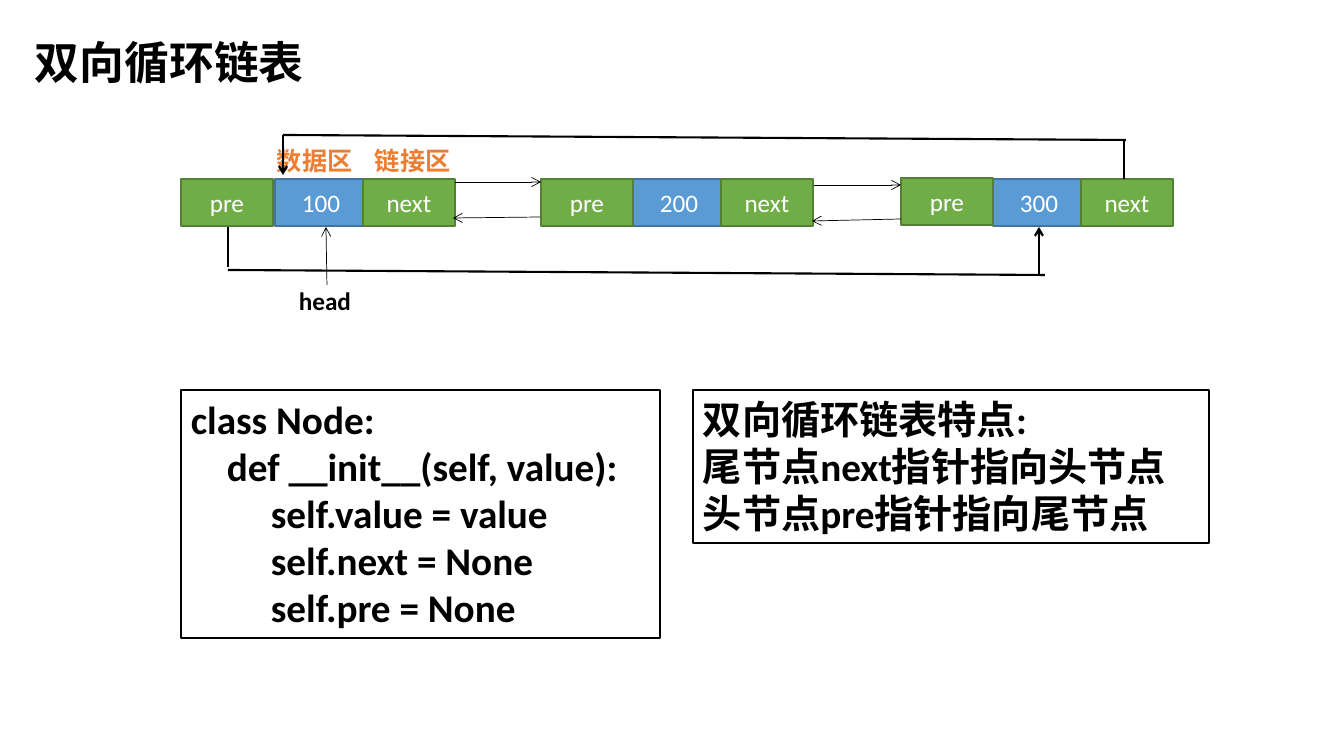
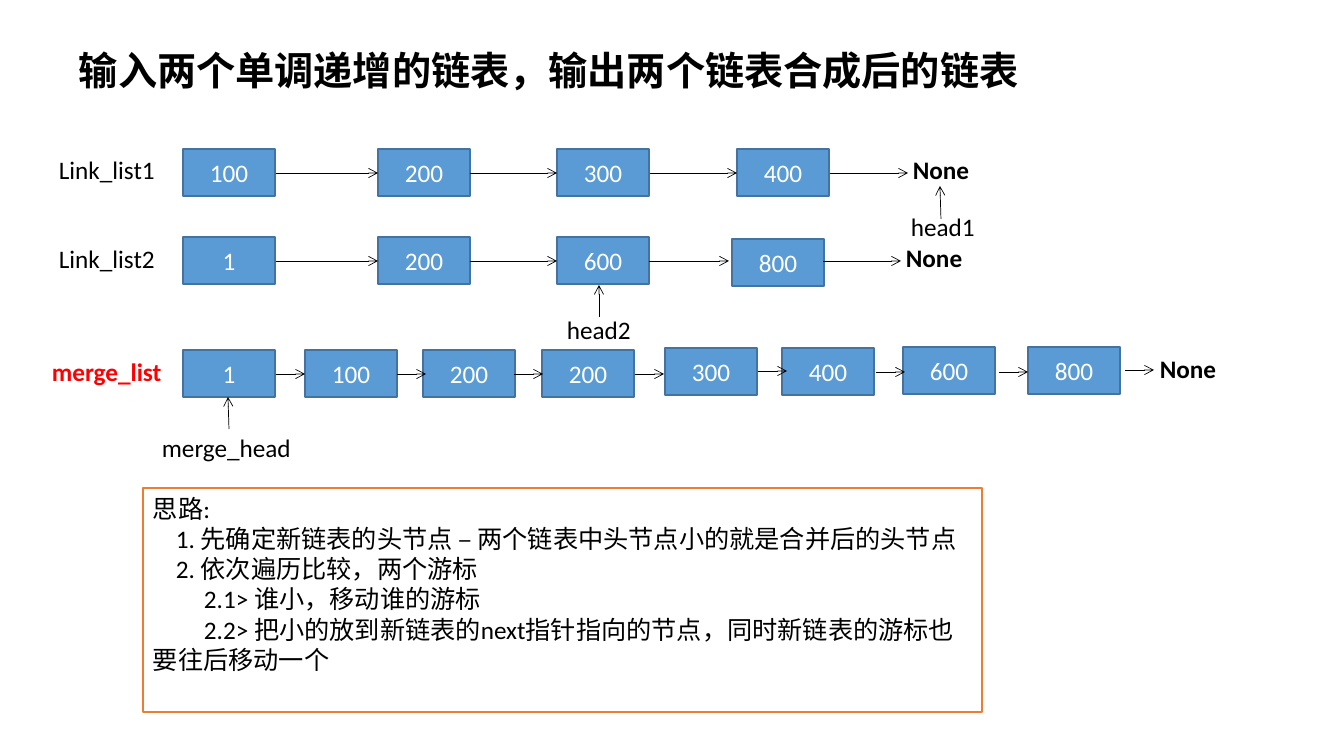
from pptx import Presentation, util as u
from pptx.dml.color import RGBColor
from pptx.enum import shapes, text
from pptx.oxml.ns import qn
from lxml import etree

PX = 914400 / 100.8
COLORS = {
    "ink": "000000", "paper": "FFFFFF", "blue": "5B9BD5", "blue_edge": "43739E",
    "green": "70AD47", "green_edge": "538035", "orange": "ED7D31", "red": "FF0000",
}
COLORS = {name: RGBColor.from_string(value) for name, value in COLORS.items()}
NODE_W, NODE_H, LABEL_H = 92, 47, 40
PLAIN = {"name": "Calibri", "size": u.Pt(18), "bold": False}
BOLD = {**PLAIN, "bold": True}
TITLE = {**BOLD, "size": u.Pt(32)}
LARGE = {**BOLD, "size": u.Pt(28)}


def write(slide, at, lines, style=PLAIN, color="ink", fill=None, edge=None, node=False):
    """Put (indent, words) lines in a node, a framed box or a bare label."""
    area = [round(v * PX) for v in at]
    if node:
        box = slide.shapes.add_shape(shapes.MSO_SHAPE.RECTANGLE, *area)
        box.shadow.inherit = False
    else:
        box = slide.shapes.add_textbox(*area)
    if fill:
        box.fill.solid()
        box.fill.fore_color.rgb = COLORS[fill]
        box.line.color.rgb = COLORS[edge]
        box.line.width = u.Pt(1)
    frame = box.text_frame
    layout = {
        "word_wrap": bool(fill),
        "auto_size": text.MSO_AUTO_SIZE.NONE if fill else text.MSO_AUTO_SIZE.SHAPE_TO_FIT_TEXT,
        "vertical_anchor": text.MSO_ANCHOR.MIDDLE if node else text.MSO_ANCHOR.TOP,
    }
    for key, value in layout.items():
        setattr(frame, key, value)
    for i, (indent, words) in enumerate(lines):
        para = frame.add_paragraph() if i else frame.paragraphs[0]
        para.alignment = text.PP_ALIGN.CENTER if node else text.PP_ALIGN.LEFT
        if indent:
            para._p.get_or_add_pPr().set("indent", str(round(indent * PX)))
        run = para.add_run()
        run.text = words
        for key, value in style.items():
            setattr(run.font, key, value)
        run.font.color.rgb = COLORS[color]


def link(slide, ends, width=0.5, arrow=True):
    """Draw a straight pointer between two points."""
    pointer = slide.shapes.add_connector(
        shapes.MSO_CONNECTOR.STRAIGHT, *[round(v * PX) for v in ends])
    pointer.line.color.rgb = COLORS["ink"]
    pointer.line.width = u.Pt(width)
    if arrow:
        etree.SubElement(pointer.line._get_or_add_ln(), qn("a:tailEnd"), type="arrow")
    etree.SubElement(pointer._element.spPr, qn("a:effectLst"))


deck = Presentation()
deck.slide_width, deck.slide_height = round(1344 * PX), round(756 * PX)
blank = deck.slide_layouts[6]

# Slide 1: doubly linked circular list
ring = deck.slides.add_slide(blank)
write(ring, (25, 30, 293, 65), [(0, "双向循环链表")], TITLE)

# Nodes: previous pointer, value, next pointer
for value, pre_left, data_left, pre_top in (
        ("100", 181, 275, 179), ("200", 541, 633, 179), ("300", 901, 993, 178)):
    for words, left, top, tint in (("100" and value, data_left, 179, "blue"),
                                   ("next", data_left + 88, 179, "green"),
                                   ("pre", pre_left, pre_top, "green")):
        write(ring, (left, top, NODE_W, NODE_H), [(0, words)], color="paper",
              fill=tint, edge=tint + "_edge", node=True)

# Labels around the first node
for words, left, top, width, color in (("数据区", 267, 140, 96, "orange"),
                                       ("链接区", 365, 140, 96, "orange"),
                                       ("head", 289, 280, 73, "ink")):
    write(ring, (left, top, width, LABEL_H), [(0, words)], BOLD, color)

# Pointers between neighbours, and the head pointer
for ends in ((455, 182, 541, 182), (814, 185, 901, 185), (901, 219, 812, 221),
             (540, 217, 453, 218), (327, 285, 326, 227)):
    link(ring, ends)

# Loops from tail to head and from head to tail
for ends, arrow in (((1124, 179, 1124, 139), False), ((283, 135, 1126, 140), False),
                    ((283, 135, 283, 175), True), ((228, 270, 1045, 275), False),
                    ((1039, 275, 1039, 227), True), ((228, 267, 228, 227), False)):
    link(ring, ends, 1.5, arrow)

# Code and features
write(ring, (181, 390, 479, 248),
      [(0, "class Node:"), (36, "def __init__(self, value):"), (80, "self.value = value"),
       (80, "self.next = None"), (80, "self.pre = None")],
      LARGE, fill="paper", edge="ink")
write(ring, (693, 390, 516, 153),
      [(0, "双向循环链表特点:"), (0, "尾节点next指针指向头节点"), (0, "头节点pre指针指向尾节点")],
      LARGE, fill="paper", edge="ink")

# Slide 2: merging two sorted lists
merge = deck.slides.add_slide(blank)
write(merge, (69, 41, 975, 57), [(0, "输入两个单调递增的链表，输出两个链表合成后的链表")], LARGE)

# Each list: nodes (value, left, top), then pointers (start, end, height)
lists = (
    ([("100", 183, 149), ("200", 378, 149), ("300", 557, 149), ("400", 737, 149)],
     [(276, 378, 173), (470, 557, 173), (650, 737, 173), (830, 908, 173)]),
    ([("1", 183, 237), ("200", 378, 237), ("600", 557, 237), ("800", 732, 239)],
     [(276, 378, 261), (470, 557, 261), (649, 729, 261), (823, 901, 261)]),
    ([("1", 183, 350), ("100", 305, 350), ("200", 423, 350), ("200", 542, 350),
      ("300", 665, 348), ("400", 782, 348), ("600", 903, 347), ("800", 1028, 347)],
     [(start, start + 29, y) for start, y in (
         (276, 374), (397, 374), (514, 374), (635, 374),
         (758, 371), (876, 372), (999, 372), (1125, 370))]),
)
for nodes, pointers in lists:
    for value, left, top in nodes:
        write(merge, (left, top, NODE_W, NODE_H), [(0, value)], color="paper",
              fill="blue", edge="blue_edge", node=True)
    for start, end, y in pointers:
        link(merge, (start, y, end, y))

# Cursors
for ends in ((941, 219, 940, 186), (599, 317, 599, 285), (229, 429, 228, 397)):
    link(merge, ends)

# List names, cursor names and list ends
for words, left, top, width, style, color in (
        ("Link_list1", 49, 149, 117, PLAIN, "ink"),
        ("Link_list2", 49, 238, 117, PLAIN, "ink"),
        ("merge_list", 42, 351, 131, BOLD, "red"),
        ("head1", 901, 206, 85, PLAIN, "ink"),
        ("head2", 557, 309, 85, PLAIN, "ink"),
        ("merge_head", 152, 427, 152, PLAIN, "ink"),
        ("None", 903, 149, 77, BOLD, "ink"),
        ("None", 896, 237, 77, BOLD, "ink"),
        ("None", 1150, 348, 77, BOLD, "ink")):
    write(merge, (left, top, width, LABEL_H), [(0, words)], style, color)

# Approach
write(merge, (143, 488, 839, 224),
      [(0, "思路:"),
       (23, "1. 先确定新链表的头节点 – 两个链表中头节点小的就是合并后的头节点"),
       (23, "2. 依次遍历比较，两个游标"),
       (51, "2.1> 谁小，移动谁的游标"),
       (51, "2.2> 把小的放到新链表的next指针指向的节点，同时新链表的游标也要往后移动一个")],
      fill="paper", edge="orange")

deck.save("out.pptx")
